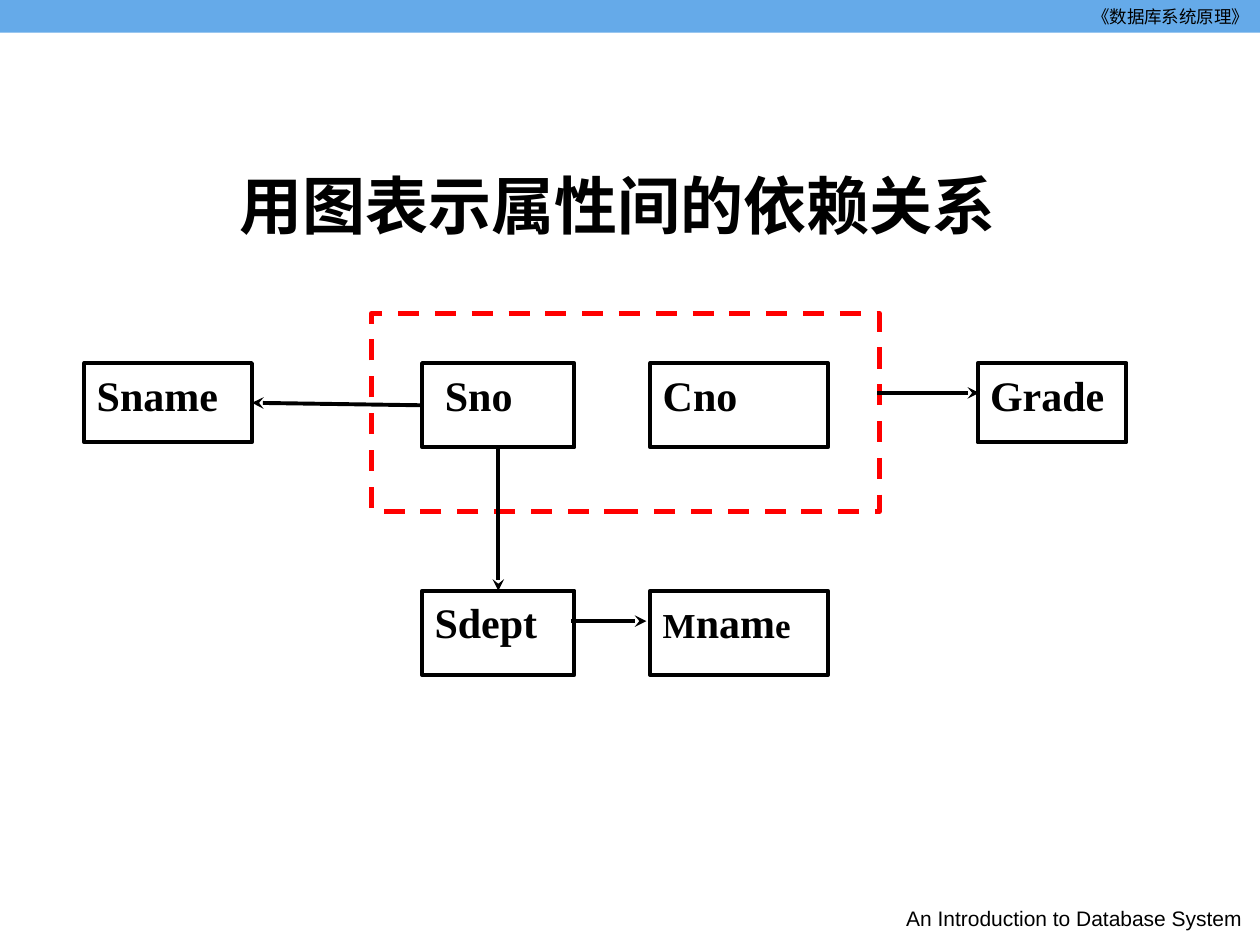
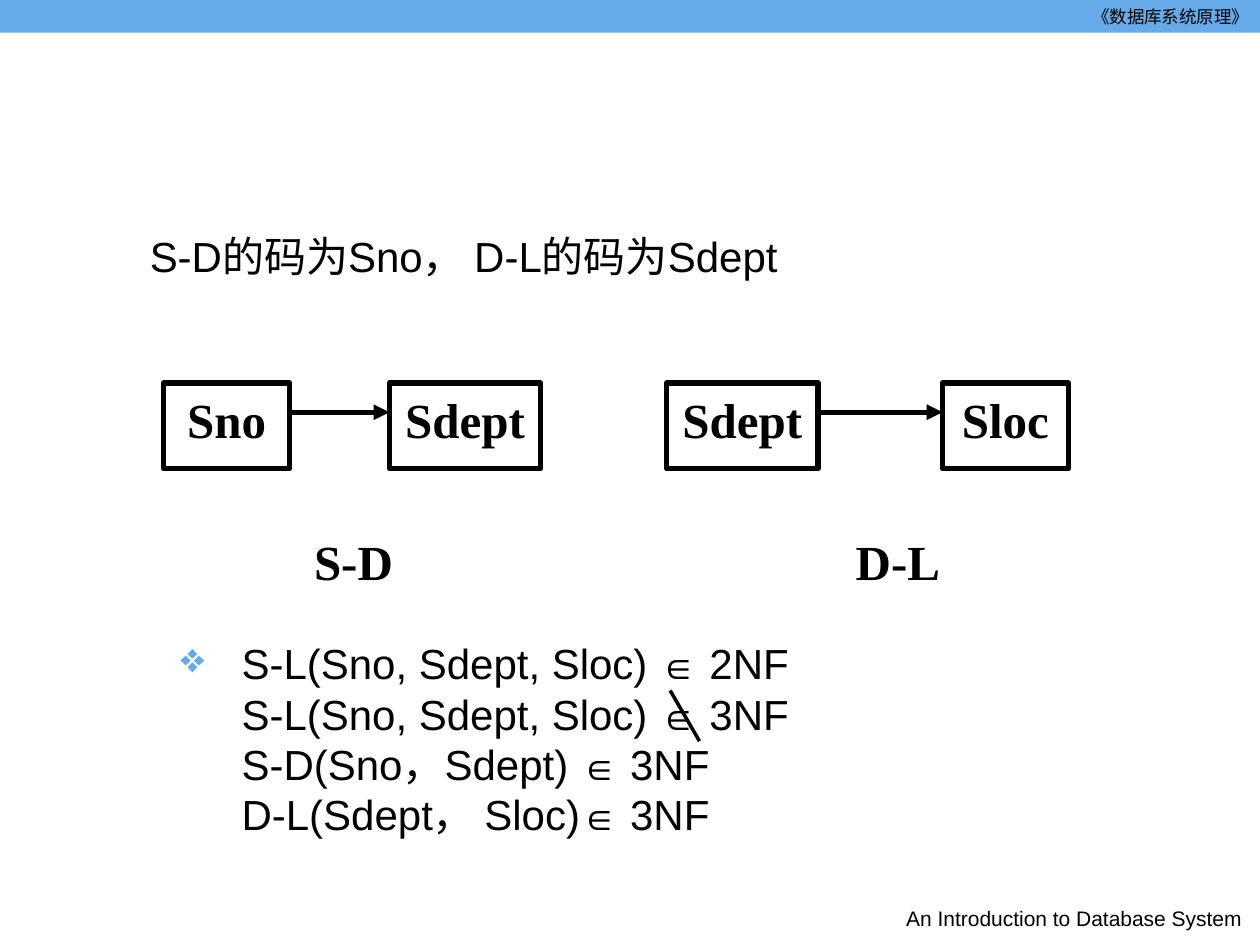
from dataclasses import dataclass

from lxml import etree
from pptx import Presentation
from pptx import util as u
from pptx.dml.color import RGBColor
from pptx.enum import dml, shapes, text
from pptx.oxml import ns


@dataclass(frozen=True)
class Theme:
    band: str = "65AAE9"
    ink: str = "000000"
    key: str = "FF0000"
    sans: str = "Arial"
    serif: str = "Times New Roman"
    header: int = 10
    footer: int = 12
    title: int = 36
    body: int = 24
    symbol: int = 22
    small_node: int = 20
    large_node: int = 28


THEME = Theme()
ALIGN = text.PP_ALIGN

# All lengths are in centimetres: left, top, width, height.
SLIDE_SIZE = (25.4, 19.05)
BAND = (0, 0, 25.4, 0.66)
HEADER = ("《数据库系统原理》", (16.51, 0, 8.92, 0.64))
FOOTER = ("An Introduction to Database System", (17.91, 18.14, 7.49, 0.89))

TITLE = ("用图表示属性间的依赖关系", (4.57, 2.31, 19.53, 2.59))
KEY_FRAME = (7.49, 6.32, 10.24, 3.99)
UPPER_ROW, LOWER_ROW = 7.32, 11.91
ATTRIBUTES = {
    "Sno": (8.51, UPPER_ROW, 3.07, 1.7),
    "Cno": (13.11, UPPER_ROW, 3.58, 1.7),
    "Sdept": (8.51, LOWER_ROW, 3.07, 1.7),
    "Mname": (13.11, LOWER_ROW, 3.58, 1.7),
    "Grade": (19.71, UPPER_ROW, 3, 1.6),
    "Sname": (1.7, UPPER_ROW, 3.38, 1.6),
}
ATTRIBUTE_RUNS = {
    "Mname": [("M", THEME.small_node), ("nam", THEME.body), ("e", THEME.small_node)],
}
ATTRIBUTE_INDENT = {"Sno": 0.21}
JOINED_ARROWS = [("Sno", 2, "Sdept", 0), ("Sno", 1, "Sname", 3)]
FREE_ARROWS = [(11.51, 12.52, 13.03, 12.52), (17.68, 7.92, 19.74, 7.92)]

KEYS_TEXT = ("S-D的码为Sno， D-L的码为Sdept", (1.5, 4.52, 22.86, 12.5))
NODE_TOP, NODE_HEIGHT = 7.72, 1.73
ARROW_TOP, CAPTION_TOP = 8.31, 10.59
# Left edge, (name, width) of both nodes, gap, caption, caption left and width
RELATIONS = [
    (3.3, ("Sno", 2.54), ("Sdept", 3.05), 2.01, "S-D", 5.84, 2.57),
    (13.44, ("Sdept", 3.05), ("Sloc", 2.54), 2.51, "D-L", 16.97, 2.26),
]
NORMAL_FORMS = [
    "S-L(Sno, Sdept, Sloc) ∈ 2NF",
    "S-L(Sno, Sdept, Sloc) ∈ 3NF",
    "S-D(Sno，Sdept) ∈ 3NF",
    "D-L(Sdept， Sloc)∈ 3NF",
]
FORMS_BOX = (2.49, 12.73, 14.61, 4.32)
FORMS_MARGIN, BULLET_INDENT = 2.13, -1.23
NOT_IN_STROKE = (13.51, 13.92, 14.1, 14.94)


def lengths(values):
    return [u.Cm(value) for value in values]


def color(value):
    return RGBColor.from_string(value)


def apply(target, values):
    for name, value in values.items():
        setattr(target, name, value)


def write(paragraph, runs, font=THEME.sans, bold=False, align=ALIGN.LEFT):
    """Fill a paragraph with (text, size) runs."""
    paragraph.alignment = align
    for words, size in runs:
        run = paragraph.add_run()
        run.text = words
        apply(run.font, {"name": font, "size": u.Pt(size), "bold": bold})
        run.font.color.rgb = color(THEME.ink)


def set_indent(paragraph, margin, first_line=0):
    properties = paragraph._p.get_or_add_pPr()
    properties.set("marL", str(u.Cm(margin)))
    properties.set("indent", str(u.Cm(first_line)))
    return properties


def add_text(parent, box, runs, **style):
    shape = parent.add_textbox(*lengths(box))
    shape.text_frame.word_wrap = True
    paragraph = shape.text_frame.paragraphs[0]
    write(paragraph, runs, **style)
    return paragraph


def add_box(parent, box, fill=None, line=None, width=0):
    shape = parent.add_shape(shapes.MSO_SHAPE.RECTANGLE, *lengths(box))
    shape.shadow.inherit = False
    if fill:
        shape.fill.solid()
        shape.fill.fore_color.rgb = color(fill)
    else:
        shape.fill.background()
    if line:
        shape.line.color.rgb = color(line)
        shape.line.width = u.Pt(width)
    else:
        shape.line.fill.background()
    return shape


def add_node(parent, box, runs, width, align):
    shape = add_box(parent, box, line=THEME.ink, width=width)
    apply(shape.text_frame, {"word_wrap": True, "vertical_anchor": text.MSO_ANCHOR.TOP})
    write(shape.text_frame.paragraphs[0], runs, THEME.serif, True, align)
    return shape


def add_line(parent, ends, width, head=None):
    line = parent.add_connector(shapes.MSO_CONNECTOR.STRAIGHT, *lengths(ends))
    line.line.color.rgb = color(THEME.ink)
    line.line.width = u.Pt(width)
    if head:
        etree.SubElement(line.line._get_or_add_ln(), ns.qn("a:tailEnd"), type=head)
    etree.SubElement(line._element.spPr, ns.qn("a:effectLst"))
    return line


def add_slide(presentation):
    """Add a blank slide with the shared band, header and footer."""
    slide = presentation.slides.add_slide(presentation.slide_layouts[6])
    add_box(slide.shapes, BAND, fill=THEME.band)
    for (words, box), size, align in (
        (HEADER, THEME.header, ALIGN.RIGHT),
        (FOOTER, THEME.footer, ALIGN.CENTER),
    ):
        add_text(slide.shapes, box, [(words, size)], align=align)
    return slide


def build_dependency_slide(presentation):
    parent = add_slide(presentation).shapes
    frame = add_box(parent, KEY_FRAME, line=THEME.key, width=3)
    frame.line.dash_style = dml.MSO_LINE.DASH

    nodes = {}
    for name, box in ATTRIBUTES.items():
        runs = ATTRIBUTE_RUNS.get(name, [(name, THEME.body)])
        nodes[name] = add_node(parent, box, runs, 2.25, ALIGN.LEFT)
        if name in ATTRIBUTE_INDENT:
            set_indent(nodes[name].text_frame.paragraphs[0], ATTRIBUTE_INDENT[name])

    for start, start_side, end, end_side in JOINED_ARROWS:
        arrow = add_line(parent, (0, 0, 0, 0), 2.25, "stealth")
        arrow.begin_connect(nodes[start], start_side)
        arrow.end_connect(nodes[end], end_side)
    for ends in FREE_ARROWS:
        add_line(parent, ends, 2.25, "stealth")

    words, box = TITLE
    title = add_text(parent, box, [(words, THEME.title)], bold=True)
    title.line_spacing = 1.6


def add_relation(parent, left, first, second, gap, caption, caption_left, caption_width):
    """Draw two attributes joined by an arrow, with the relation's name below."""
    group = parent.add_group_shape().shapes
    arrow_left = left + first[1]
    arrow_right = arrow_left + gap
    for (name, width), node_left in ((first, left), (second, arrow_right)):
        box = (node_left, NODE_TOP, width, NODE_HEIGHT)
        add_node(group, box, [(name, THEME.large_node)], 3, ALIGN.CENTER)
    add_line(group, (arrow_left, ARROW_TOP, arrow_right, ARROW_TOP), 3, "triangle")
    add_text(group, (caption_left, CAPTION_TOP, caption_width, NODE_HEIGHT),
             [(caption, THEME.large_node)],
             font=THEME.serif, bold=True, align=ALIGN.CENTER)


def add_bullet(properties):
    bullet_color = etree.SubElement(properties, ns.qn("a:buClr"))
    etree.SubElement(bullet_color, ns.qn("a:srgbClr"), val=THEME.band)
    etree.SubElement(properties, ns.qn("a:buChar"), char="❖")


def build_normal_form_slide(presentation):
    parent = add_slide(presentation).shapes
    words, box = KEYS_TEXT
    set_indent(add_text(parent, box, [(words, THEME.body)]), 1.27)
    for relation in RELATIONS:
        add_relation(parent, *relation)

    frame = parent.add_textbox(*lengths(FORMS_BOX)).text_frame
    frame.word_wrap = True
    for index, form in enumerate(NORMAL_FORMS):
        paragraph = frame.add_paragraph() if index else frame.paragraphs[0]
        if index:
            set_indent(paragraph, FORMS_MARGIN)
        else:
            add_bullet(set_indent(paragraph, FORMS_MARGIN, BULLET_INDENT))
        relation, symbol, normal_form = form.partition("∈")
        write(paragraph, [(relation, THEME.body), (symbol, THEME.symbol),
                          (normal_form, THEME.body)])
    add_line(parent, NOT_IN_STROKE, 2)


def main():
    presentation = Presentation()
    presentation.slide_width, presentation.slide_height = lengths(SLIDE_SIZE)
    build_dependency_slide(presentation)
    build_normal_form_slide(presentation)
    presentation.save("out.pptx")


if __name__ == "__main__":
    main()
